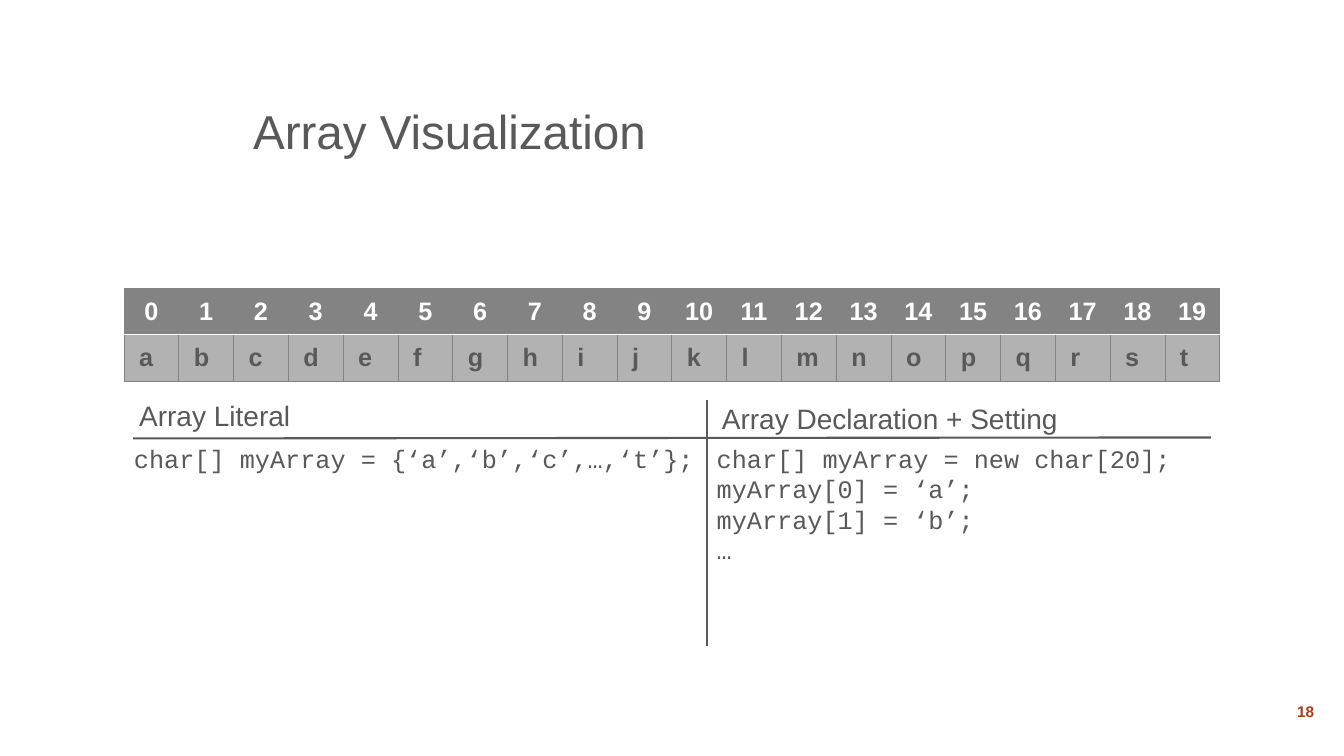
"""Build the Array Visualization slide."""
from lxml.etree import SubElement
from pptx import Presentation
from pptx.dml.color import RGBColor
from pptx.enum.shapes import MSO_CONNECTOR
from pptx.enum.text import MSO_ANCHOR, MSO_AUTO_SIZE, PP_ALIGN
from pptx.oxml.ns import qn
from pptx.util import Inches, Pt

TITLE = "Array Visualization"
PAGE_NUMBER = "18"
LETTERS = "abcdefghijklmnopqrst"
COLUMNS = [
    {
        "heading": "Array Literal",
        "spacing": 0.8,
        "left": 1.23,
        "width": 5.78,
        "code": ["char[] myArray = {‘a’,‘b’,‘c’,…,‘t’};"],
    },
    {
        "heading": "Array Declaration + Setting",
        "spacing": 0.9,
        "left": 7.01,
        "width": 4.72,
        "code": [
            "char[] myArray = new char[20];",
            "myArray[0] = ‘a’;",
            "myArray[1] = ‘b’;",
            "…",
        ],
    },
]
RULES = [(7.01, 3.97, 7.01, 6.41), (12.01, 4.34, 1.32, 4.35)]

INK = "595959"
WHITE = "FFFFFF"
HEADER_GRAY = "838383"
CELL_GRAY = "B2B2B2"
ACCENT = "AB3C19"


def color(value):
    return RGBColor.from_string(value)


def write(frame, text, size=18, font="Arial", ink=INK, bold=False,
          align=PP_ALIGN.LEFT, anchor=MSO_ANCHOR.TOP, spacing=None, wrap=True):
    frame.text = text
    frame.word_wrap = wrap
    frame.vertical_anchor = anchor
    for paragraph in frame.paragraphs:
        paragraph.alignment = align
        paragraph.line_spacing = spacing
        for run in paragraph.runs:
            run.font.size = Pt(size)
            run.font.name = font
            run.font.bold = bold
            run.font.color.rgb = color(ink)


def add_text(slide, text, left, top, width, height, **text_format):
    box = slide.shapes.add_textbox(
        Inches(left), Inches(top), Inches(width), Inches(height))
    write(box.text_frame, text, **text_format)
    return box.text_frame


def set_borders(cell, **borders):
    properties = cell._tc.get_or_add_tcPr()
    for index, side in enumerate(("L", "R", "T", "B")):
        value, width = borders.get(side, (HEADER_GRAY, 0.5))
        line = SubElement(properties, qn(f"a:ln{side}"), w=str(Pt(width)))
        fill = SubElement(line, qn("a:solidFill"))
        SubElement(fill, qn("a:srgbClr"), val=value)
        properties.remove(line)
        properties.insert(index, line)


def format_cell(cell, text, fill, margin_left, borders, **text_format):
    write(cell.text_frame, text, bold=True, **text_format)
    cell.vertical_anchor = MSO_ANCHOR.MIDDLE
    cell.margin_right = cell.margin_top = cell.margin_bottom = Inches(0.08)
    cell.margin_left = Inches(margin_left)
    cell.fill.solid()
    cell.fill.fore_color.rgb = color(fill)
    set_borders(cell, **borders)


def add_array(slide):
    width = 10.87
    table = slide.shapes.add_table(
        2, len(LETTERS), Inches(1.23), Inches(2.86), Inches(width), Inches(0.89)).table
    for row, height in zip(table.rows, (0.44, 0.45)):
        row.height = Inches(height)
    divider = (WHITE, 1)
    for index, letter in enumerate(LETTERS):
        table.columns[index].width = Inches(width / len(LETTERS))
        format_cell(table.cell(0, index), str(index), HEADER_GRAY, 0.08,
                    {"B": divider}, ink=WHITE, align=PP_ALIGN.CENTER)
        format_cell(table.cell(1, index), letter, CELL_GRAY, 0.15, {"T": divider})


def add_rule(slide, *ends):
    rule = slide.shapes.add_connector(
        MSO_CONNECTOR.STRAIGHT, *(Inches(end) for end in ends))
    rule.line.color.rgb = color(INK)
    rule.line.width = Pt(1.5)
    SubElement(rule._element.spPr, qn("a:effectLst"))


def main():
    presentation = Presentation()
    presentation.slide_width = Inches(13.33)
    presentation.slide_height = Inches(7.5)
    slide = presentation.slides.add_slide(presentation.slide_layouts[5])

    title = slide.shapes.title
    title.left, title.top = Inches(2.41), Inches(0.33)
    title.width, title.height = Inches(10.25), Inches(1.31)
    title.text_frame.auto_size = MSO_AUTO_SIZE.NONE
    write(title.text_frame, TITLE, size=34, anchor=MSO_ANCHOR.BOTTOM, spacing=0.9)

    add_text(slide, PAGE_NUMBER, 12.66, 6.87, 0.58, 0.38, size=11, ink=ACCENT,
             bold=True, align=PP_ALIGN.CENTER, anchor=MSO_ANCHOR.MIDDLE)
    add_array(slide)
    for column in COLUMNS:
        code = column["code"]
        add_text(slide, "\n".join(code), column["left"], 4.35, column["width"],
                 0.1 + 0.3 * len(code), font="Courier New", wrap=False)
        heading = add_text(slide, column["heading"], column["left"], 3.97, 5, 0.39,
                           size=20, spacing=column["spacing"])
        heading.margin_left = Inches(0.15)
    for ends in RULES:
        add_rule(slide, *ends)
    presentation.save("out.pptx")


if __name__ == "__main__":
    main()
